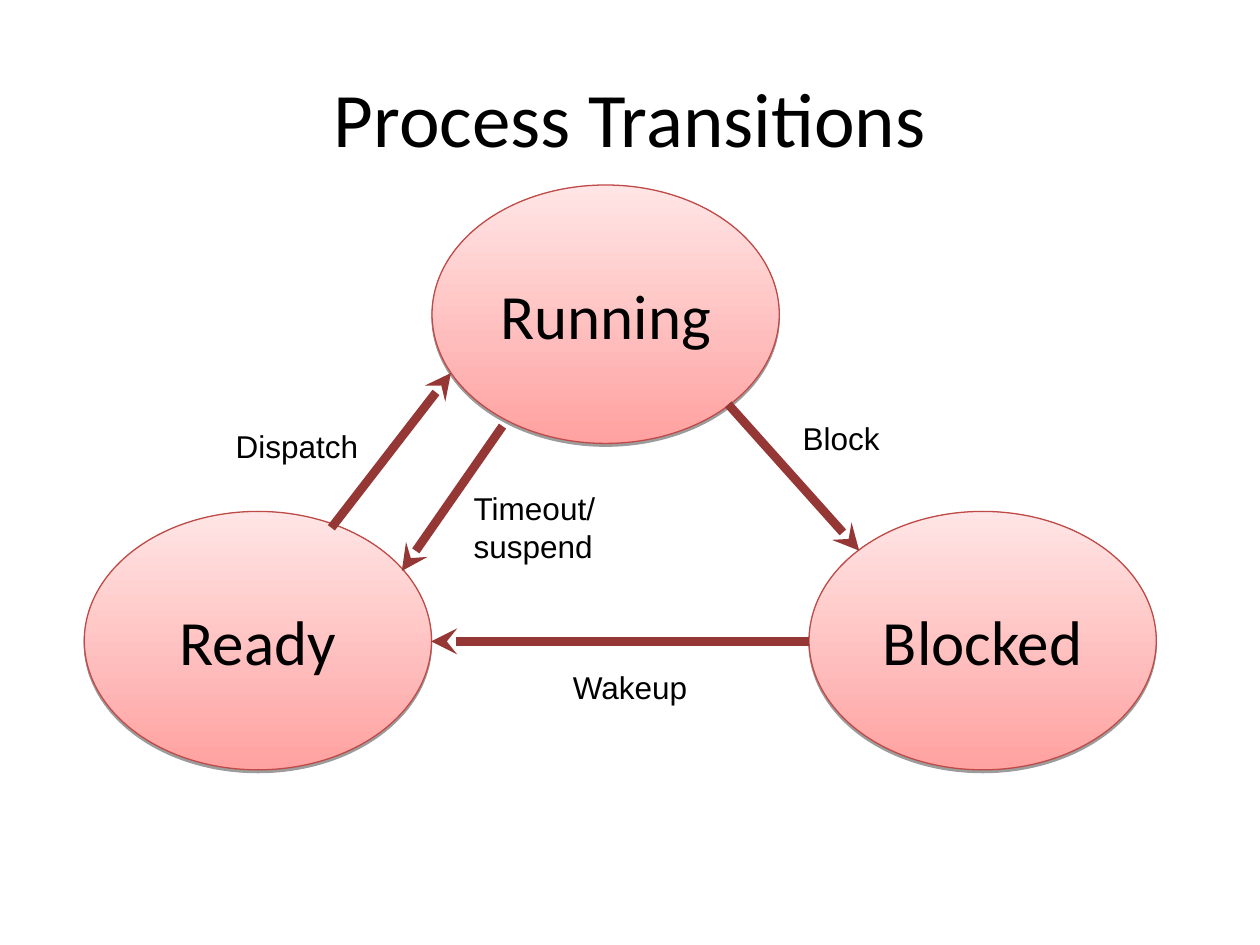
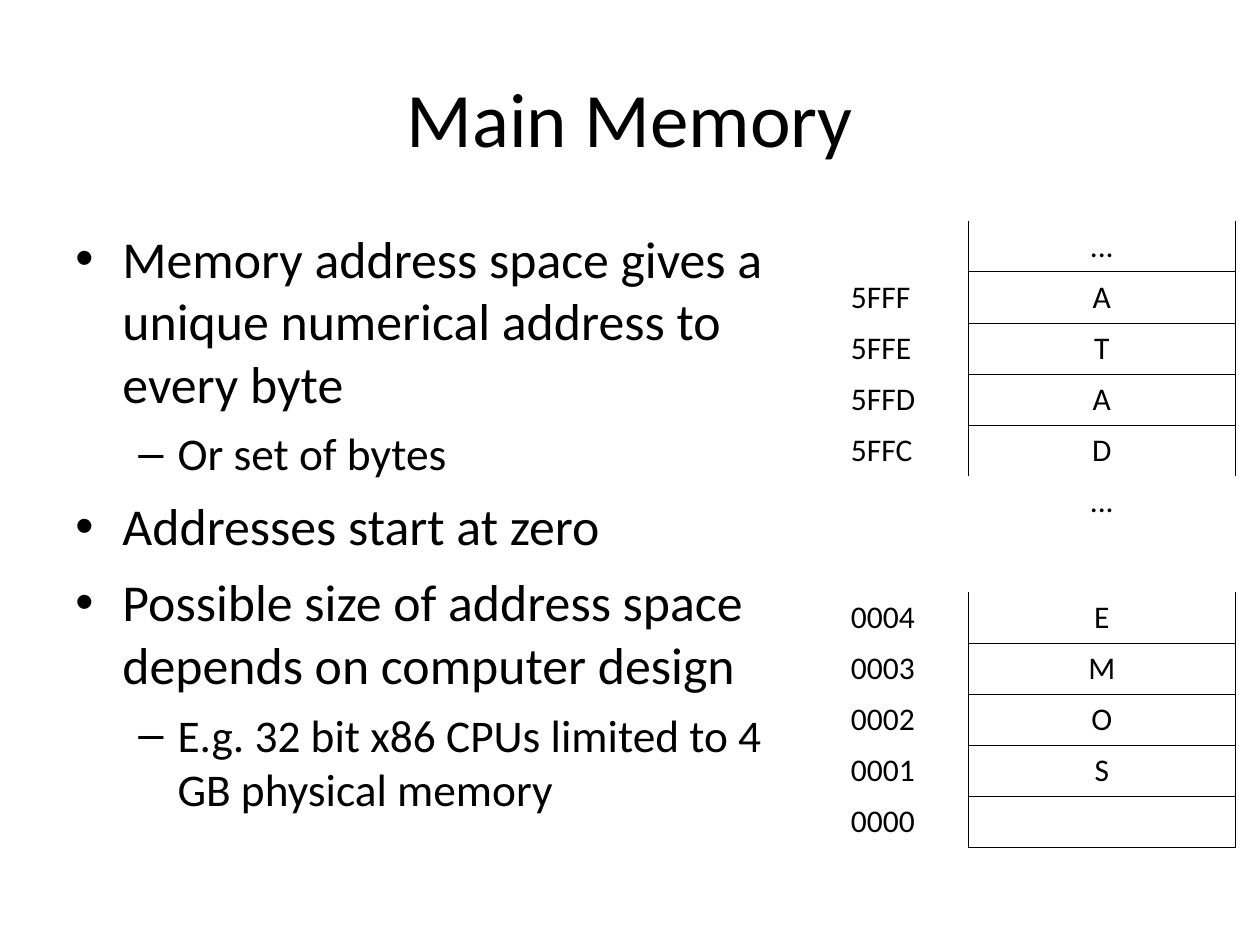
"""Build two slides on process transitions and main memory."""
import lxml.etree
import pptx
import pptx.dml.color
import pptx.enum.shapes
import pptx.enum.text
import pptx.oxml.ns
import pptx.util

Cm = pptx.util.Cm
Pt = pptx.util.Pt
qn = pptx.oxml.ns.qn
SubElement = lxml.etree.SubElement
CENTER = pptx.enum.text.PP_ALIGN.CENTER
LEFT = pptx.enum.text.PP_ALIGN.LEFT
MIDDLE = pptx.enum.text.MSO_ANCHOR.MIDDLE
BLACK = "000000"
ARROW_RED = "953735"
OUTLINE_RED = "BE4B48"
NO_STYLE_NO_GRID = "{2D5ABB26-0587-4C30-8999-92F81FD0307C}"


def rgb(value):
    return pptx.dml.color.RGBColor.from_string(value)


def write(paragraph, text, size, font="Calibri", alignment=LEFT):
    paragraph.text = text
    paragraph.alignment = alignment
    paragraph.font.size = Pt(size)
    paragraph.font.name = font
    paragraph.font.color.rgb = rgb(BLACK)


presentation = pptx.Presentation()
presentation.slide_width = Cm(25.4)
presentation.slide_height = Cm(19.05)

slides = []
for title in ("Process Transitions", "Main Memory"):
    slide = presentation.slides.add_slide(presentation.slide_layouts[6])
    text_frame = slide.shapes.add_textbox(Cm(1.27), Cm(0.76), Cm(22.86), Cm(3.18)).text_frame
    text_frame.word_wrap = True
    text_frame.vertical_anchor = MIDDLE
    write(text_frame.paragraphs[0], title, 44, alignment=CENTER)
    slides.append(slide)
transitions_slide, memory_slide = slides

states = [("Running", 8.71, 3.73), ("Blocked", 16.31, 10.31), ("Ready", 1.7, 10.31)]
for name, left, top in states:
    shape = transitions_slide.shapes.add_shape(
        pptx.enum.shapes.MSO_SHAPE.OVAL, Cm(left), Cm(top), Cm(7), Cm(5.21))
    shape.fill.gradient()
    shape.fill.gradient_angle = 90
    for stop, color, position in zip(shape.fill.gradient_stops, ("FFA2A1", "FFE5E5"), (0, 1)):
        stop.color.rgb = rgb(color)
        stop.position = position
    shape.line.color.rgb = rgb(OUTLINE_RED)
    shape.line.width = Pt(0.75)
    shape.shadow.inherit = False
    shadow = SubElement(shape.element.spPr.find(qn("a:effectLst")), qn("a:outerShdw"),
                        blurRad="0", dist=str(Pt(1.6)), dir="5400000", rotWithShape="0")
    shadow_color = SubElement(shadow, qn("a:srgbClr"), val=BLACK)
    SubElement(shadow_color, qn("a:alpha"), val="38000")
    shape.text_frame.vertical_anchor = MIDDLE
    write(shape.text_frame.paragraphs[0], name, 36, alignment=CENTER)

arrows = [
    (14.68, 8.15, 17.32, 11.1),
    (16.31, 12.93, 8.69, 12.93),
    (6.68, 10.64, 9.09, 7.52),
    (10.13, 8.59, 8.1, 11.51),
]
for arrow in arrows:
    connector = transitions_slide.shapes.add_connector(
        pptx.enum.shapes.MSO_CONNECTOR.STRAIGHT, *map(Cm, arrow))
    connector.line.color.rgb = rgb(ARROW_RED)
    connector.line.width = Pt(5)
    properties = connector.element.spPr
    SubElement(properties.find(qn("a:ln")), qn("a:tailEnd"), type="stealth")
    SubElement(properties, qn("a:effectLst"))

labels = [
    ("Dispatch", 4.5, 8.48, 3, 1.02),
    ("Block", 15.93, 8.33, 2.06, 1.02),
    ("Wakeup", 11.3, 13.34, 2.82, 1.02),
    ("Timeout/\nsuspend", 9.3, 9.73, 2.97, 1.78),
]
for text, *box in labels:
    text_frame = transitions_slide.shapes.add_textbox(*map(Cm, box)).text_frame
    text_frame.word_wrap = False
    write(text_frame.paragraphs[0], text, 18, "Arial")

bullets = [
    (0, "Memory address space gives a unique numerical address to every byte"),
    (1, "Or set of bytes"),
    (0, "Addresses start at zero"),
    (0, "Possible size of address space depends on computer design"),
    (1, "E.g. 32 bit x86 CPUs limited to 4 GB physical memory"),
]
bullet_levels = [("•", 0.95, 0.95, 29.6, 8), ("–", 2.06, 0.79, 25.9, 7)]
text_frame = memory_slide.shapes.add_textbox(Cm(1.27), Cm(4.45), Cm(15.04), Cm(12.57)).text_frame
text_frame.word_wrap = True
for index, (level, text) in enumerate(bullets):
    mark, margin, hanging, size, space_before = bullet_levels[level]
    paragraph = text_frame.add_paragraph() if index else text_frame.paragraphs[0]
    paragraph.level = level
    if index:
        paragraph.space_before = Pt(space_before)
    properties = paragraph._p.get_or_add_pPr()
    properties.set("marL", str(Cm(margin)))
    properties.set("indent", str(-Cm(hanging)))
    SubElement(properties, qn("a:buFont"), typeface="Arial")
    SubElement(properties, qn("a:buChar"), char=mark)
    write(paragraph, text, size)

memory = [
    ("", "..."), ("5FFF", "A"), ("5FFE", "T"), ("5FFD", "A"), ("5FFC", "D"),
    ("", "..."), ("", ""),
    ("0004", "E"), ("0003", "M"), ("0002", "O"), ("0001", "S"), ("0000", ""),
]
gap_rows = (5, 6)
row_height, gap_height = 1.03, 1.3
table = memory_slide.shapes.add_table(
    len(memory), 3, Cm(12.9), Cm(4.45), Cm(12), Cm(12.63)).table
table.first_row = False
table.horz_banding = False
table._tbl.tblPr.find(qn("a:tableStyleId")).text = NO_STYLE_NO_GRID
for column, width in zip(table.columns, (4, 2.62, 5.38)):
    column.width = Cm(width)
for row, (address, value) in enumerate(memory):
    table.rows[row].height = Cm(gap_height if row == gap_rows[-1] else row_height)
    sides = []
    if row not in gap_rows:
        sides = ["lnL", "lnR"] if row + 1 in gap_rows else ["lnL", "lnR", "lnB"]
    for side in sides:
        border = SubElement(table.cell(row, 2)._tc.get_or_add_tcPr(), qn(f"a:{side}"), w=str(Pt(0.45)))
        SubElement(SubElement(border, qn("a:solidFill")), qn("a:srgbClr"), val=BLACK)
    for column, text in enumerate(("", address, value)):
        cell = table.cell(row, column)
        cell.fill.background()
        write(cell.text_frame.paragraphs[0], text, 18, alignment=CENTER if column == 2 else LEFT)

presentation.save("out.pptx")
